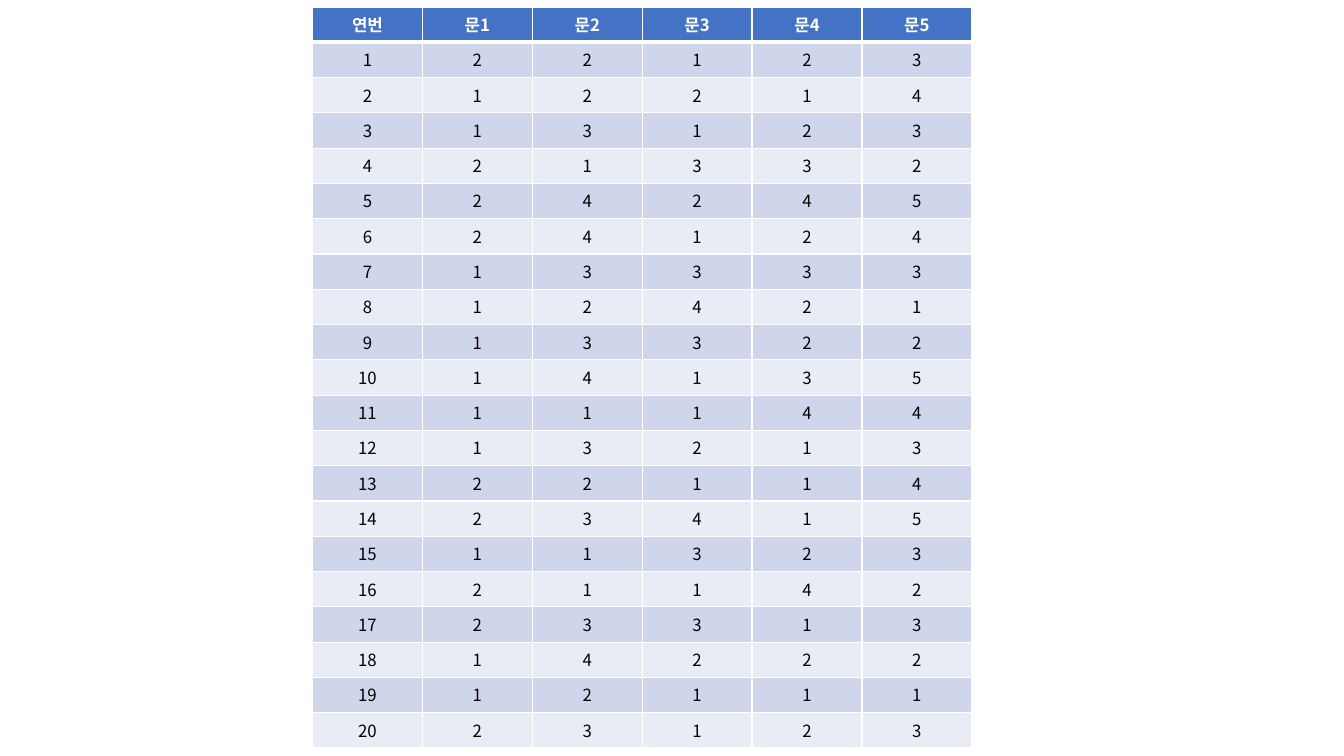
"""Build a slide with a table of survey answers."""
from lxml import etree
from pptx import Presentation
from pptx.dml.color import RGBColor
from pptx.enum import text
from pptx.oxml import ns
from pptx.util import Inches, Pt

FONT = "Noto Sans CJK KR"
WHITE = RGBColor(0xFF, 0xFF, 0xFF)
BLACK = RGBColor(0x00, 0x00, 0x00)
HEADER_BLUE = RGBColor(0x44, 0x72, 0xC4)
DARK_BAND = RGBColor(0xCF, 0xD5, 0xEA)
LIGHT_BAND = RGBColor(0xE9, 0xEB, 0xF5)

HEADERS = ["연번", "문1", "문2", "문3", "문4", "문5"]
ANSWERS = [
    "22123", "12214", "13123", "21332", "24245",
    "24124", "13333", "12421", "13322", "14135",
    "11144", "13213", "22114", "23415", "11323",
    "21142", "23313", "14222", "12111", "23123",
]


def set_border(cell, side, width, color=WHITE):
    """Draw one side of a cell as a solid line."""
    tag = ns.qn(f"a:ln{side}")
    ln = etree.SubElement(cell._tc.get_or_add_tcPr(), tag, w=str(Pt(width)))
    fill = etree.SubElement(ln, ns.qn("a:solidFill"))
    etree.SubElement(fill, ns.qn("a:srgbClr"), val=str(color))


def write_text(cell, value, size=12, color=BLACK, bold=False):
    """Write centred text into a cell."""
    p = cell.text_frame.paragraphs[0]
    p.alignment = text.PP_ALIGN.CENTER
    r = p.add_run()
    r.text = value
    r.font.size = Pt(size)
    r.font.bold = bold
    r.font.color.rgb = color
    r.font.name = FONT
    etree.SubElement(r.font._element, ns.qn("a:ea"), typeface=FONT)


def format_cell(cell, fill, top=1, bottom=1):
    """Give a cell its borders and fill."""
    for side, width in (("L", 1), ("R", 1), ("T", top), ("B", bottom)):
        set_border(cell, side, width)
    cell.fill.solid()
    cell.fill.fore_color.rgb = fill


def add_answer_table(slide):
    """Add the table of numbered answers with a header row."""
    rows = [HEADERS] + [[str(n), *row] for n, row in enumerate(ANSWERS, 1)]
    table = slide.shapes.add_table(
        len(rows), len(HEADERS),
        Inches(3.1), Inches(0.07), Inches(6.54), Inches(7.35),
    ).table
    for i, row in enumerate(rows):
        for j, value in enumerate(row):
            cell = table.cell(i, j)
            if i == 0:
                format_cell(cell, HEADER_BLUE, bottom=3)
                write_text(cell, value, color=WHITE, bold=True)
            else:
                band = DARK_BAND if i % 2 else LIGHT_BAND
                format_cell(cell, band, top=3 if i == 1 else 1)
                write_text(cell, value)


def main():
    """Create and save the presentation."""
    prs = Presentation()
    prs.slide_width = Inches(13.33)
    prs.slide_height = Inches(7.5)
    slide = prs.slides.add_slide(prs.slide_layouts[6])
    add_answer_table(slide)
    prs.save("out.pptx")


if __name__ == "__main__":
    main()
